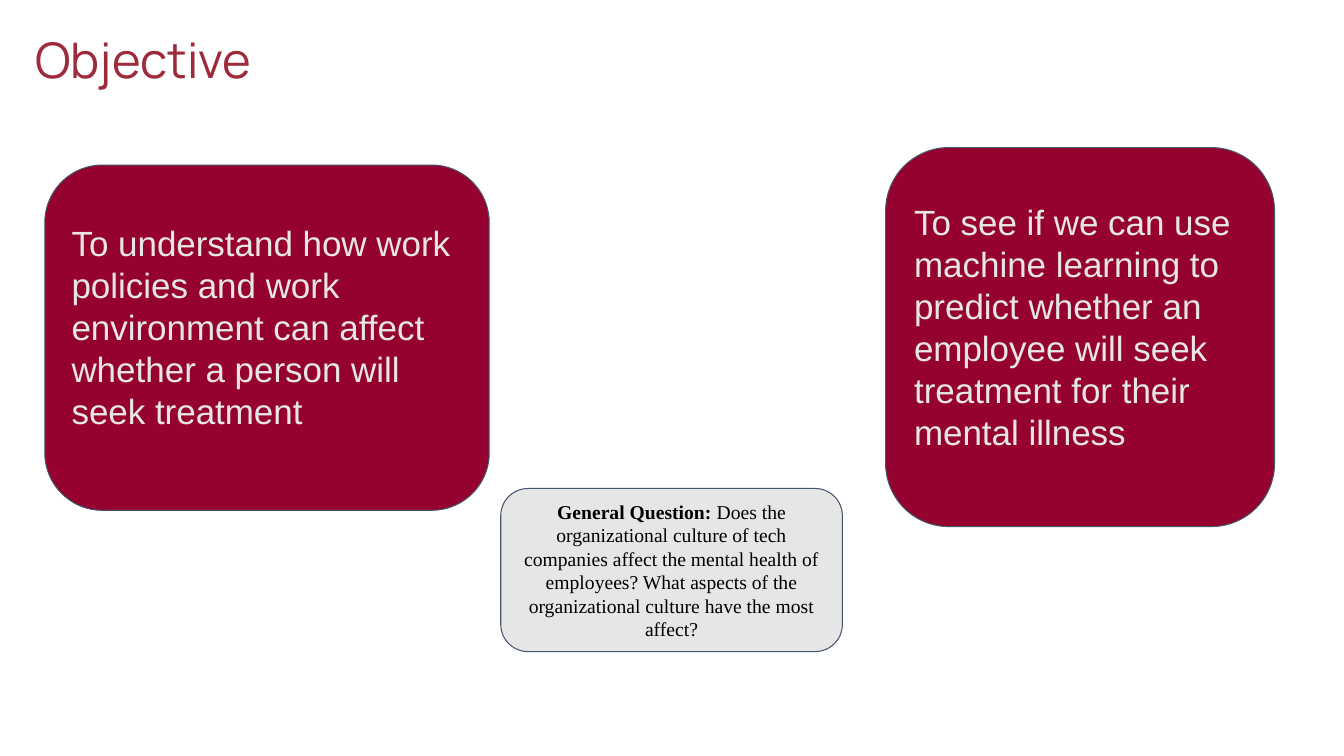
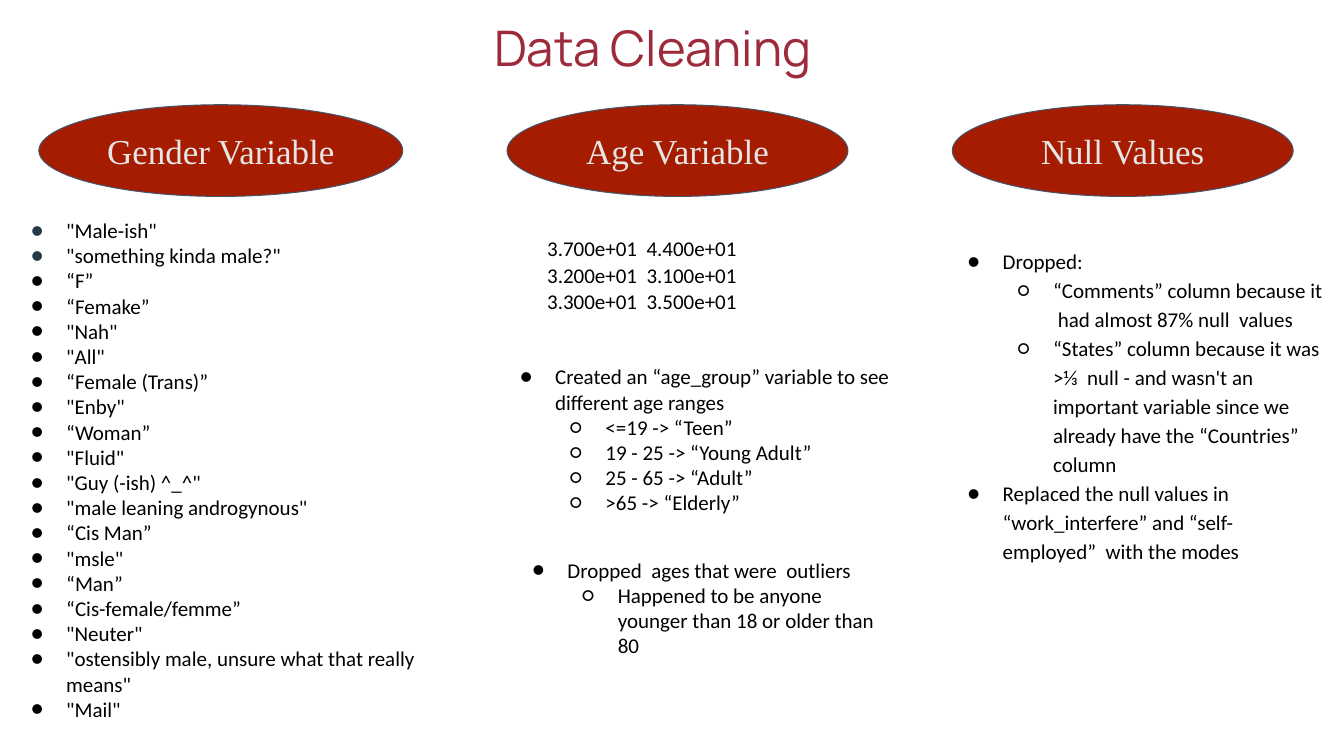
from dataclasses import dataclass

from lxml.etree import SubElement
from pptx import Presentation
from pptx.dml.color import RGBColor
from pptx.enum.shapes import MSO_SHAPE
from pptx.enum.text import MSO_ANCHOR, PP_ALIGN
from pptx.oxml.ns import qn
from pptx.slide import Slide
from pptx.text.text import TextFrame
from pptx.util import Cm, Pt


@dataclass(frozen=True)
class Theme:
    title: str = "9E2B3B"
    card: str = "96022F"
    heading: str = "A61C00"
    pale: str = "E7E6E6"
    outline: str = "44546A"
    ink: str = "000000"
    slate: str = "233A44"
    display_font: str = "Manrope"
    card_font: str = "Arial"
    serif_font: str = "Times New Roman"
    body_font: str = "Calibri"
    title_size: int = 35
    large_size: int = 25
    body_size: int = 15
    note_size: int = 14


@dataclass(frozen=True)
class Area:
    """A place on the slide, in centimetres."""
    left: float
    top: float
    width: float
    height: float

    def lengths(self) -> tuple:
        return Cm(self.left), Cm(self.top), Cm(self.width), Cm(self.height)


@dataclass(frozen=True)
class Panel:
    text: str
    area: Area


@dataclass(frozen=True)
class Item:
    text: str
    level: int = 0
    bullet_color: str = "000000"


@dataclass(frozen=True)
class BulletList:
    area: Area
    items: tuple
    indent: float = 1.27
    line_spacing: float = 1.0


THEME = Theme()
INSET = 0.25
HANGING = 0.89
LEVEL_STEP = 1.27
BULLETS = "●○"

# Objective slide
CARDS = (
    Panel("To understand how work policies and work environment can affect "
          "whether a person will seek treatment", Area(1.13, 4.16, 11.2, 8.7)),
    Panel("To see if we can use machine learning to predict whether an employee "
          "will seek treatment for their mental illness", Area(22.32, 3.72, 9.8, 9.55)),
)
QUESTION_AREA = Area(12.62, 12.31, 8.61, 4.11)
QUESTION_LABEL = "General Question: "
QUESTION = ("Does the organizational culture of tech companies affect the mental health "
            "of employees? What aspects of the organizational culture have the most affect?")

# Data cleaning slide
HEADINGS = (
    Panel("Gender Variable", Area(0.98, 2.64, 9.17, 2.31)),
    Panel("Age Variable", Area(12.78, 2.64, 8.59, 2.31)),
    Panel("Null Values", Area(24, 2.64, 8.59, 2.31)),
)
AGES = Panel("3.700e+01  4.400e+01  3.200e+01  3.100e+01  3.300e+01  3.500e+01",
             Area(13.54, 5.66, 7.5, 2.51))
GENDERS = (
    '"Male-ish"', '"something kinda male?"', "“F”", "“Femake”", '"Nah"', '"All"',
    "“Female (Trans)”", '"Enby"', "“Woman”", '"Fluid"', '"Guy (-ish) ^_^"',
    '"male leaning androgynous"', "“Cis Man”", '"msle"', "“Man”",
    "“Cis-female/femme”", '"Neuter"',
    '"ostensibly male, unsure what that really means"', '"Mail"',
)
SLATE_BULLETS = 2
LISTS = (
    BulletList(
        Area(0, 5.23, 12, 13.08),
        tuple(Item(text, bullet_color=THEME.slate if index < SLATE_BULLETS else THEME.ink)
              for index, text in enumerate(GENDERS)),
        indent=1.42,
    ),
    BulletList(Area(12.47, 8.92, 11.28, 4.88), (
        Item("Created an “age_group” variable to see different age ranges"),
        Item("<=19 -> “Teen”", 1),
        Item("19 - 25 -> “Young Adult”", 1),
        Item("25 - 65 -> “Adult”", 1),
        Item(">65 -> “Elderly”", 1),
    )),
    BulletList(Area(12.78, 13.79, 9.8, 3.05), (
        Item("Dropped  ages that were  outliers"),
        Item("Happened to be anyone younger than 18 or older than 80", 1),
    )),
    BulletList(Area(23.75, 5.92, 9.85, 10.39), (
        Item("Dropped:"),
        Item("“Comments” column because it  had almost 87% null  values", 1),
        Item("“States” column because it was >⅓  null - and wasn't an important variable "
             "since we already have the “Countries” column", 1),
        Item("Replaced the null values in “work_interfere” and “self-employed”  with the modes"),
    ), line_spacing=1.15),
)


def write(para, text: str, *, font: str = THEME.body_font, size: int = THEME.body_size,
          color: str = THEME.ink, bold: bool = False, align=PP_ALIGN.LEFT,
          line_spacing: float = 1.0) -> None:
    """Add a formatted span to a paragraph."""
    para.alignment = align
    para.line_spacing = line_spacing
    span = para.add_run()
    span.text = text
    span.font.name = font
    span.font.size = Pt(size)
    span.font.bold = bold
    span.font.color.rgb = RGBColor.from_string(color)


def set_frame(frame: TextFrame, anchor=MSO_ANCHOR.TOP, vertical: float = INSET) -> None:
    frame.word_wrap = True
    frame.vertical_anchor = anchor
    frame.margin_left = frame.margin_right = Cm(INSET)
    frame.margin_top = frame.margin_bottom = Cm(vertical)


def add_page(deck, title: str, area: Area) -> Slide:
    page = deck.slides.add_slide(deck.slide_layouts[5])
    box = page.shapes.title
    box.left, box.top, box.width, box.height = area.lengths()
    set_frame(box.text_frame, vertical=0.13)
    write(box.text_frame.paragraphs[0], title, font=THEME.display_font,
          size=THEME.title_size, color=THEME.title)
    return page


def add_panel(page: Slide, kind, area: Area, fill: str) -> TextFrame:
    shape = page.shapes.add_shape(kind, *area.lengths())
    shape.shadow.inherit = False
    shape.fill.solid()
    shape.fill.fore_color.rgb = RGBColor.from_string(fill)
    shape.line.color.rgb = RGBColor.from_string(THEME.outline)
    shape.line.width = Pt(0.75)
    set_frame(shape.text_frame, MSO_ANCHOR.MIDDLE)
    return shape.text_frame


def add_text_box(page: Slide, area: Area) -> TextFrame:
    frame = page.shapes.add_textbox(*area.lengths()).text_frame
    set_frame(frame)
    return frame


def set_bullet(para, item: Item, indent: float) -> None:
    para.level = item.level
    properties = para._p.get_or_add_pPr()
    properties.set("marL", str(Cm(indent + item.level * LEVEL_STEP)))
    properties.set("indent", str(-Cm(HANGING)))
    color = SubElement(properties, qn("a:buClr"))
    SubElement(color, qn("a:srgbClr"), val=item.bullet_color)
    SubElement(properties, qn("a:buFont"), typeface=THEME.body_font)
    SubElement(properties, qn("a:buChar"), char=BULLETS[item.level])


def add_bullets(page: Slide, bullets: BulletList) -> None:
    frame = add_text_box(page, bullets.area)
    for index, item in enumerate(bullets.items):
        para = frame.add_paragraph() if index else frame.paragraphs[0]
        write(para, item.text, line_spacing=bullets.line_spacing)
        set_bullet(para, item, bullets.indent)


def build_objective(deck) -> None:
    page = add_page(deck, "Objective", Area(0.64, 0.61, 9.8, 1.8))
    for card in CARDS:
        frame = add_panel(page, MSO_SHAPE.ROUNDED_RECTANGLE, card.area, THEME.card)
        frame.margin_bottom = Cm(0.8)
        write(frame.paragraphs[0], card.text, font=THEME.card_font,
              size=THEME.large_size, color=THEME.pale)

    frame = add_panel(page, MSO_SHAPE.FLOWCHART_ALTERNATE_PROCESS, QUESTION_AREA, THEME.pale)
    for text, bold in ((QUESTION_LABEL, True), (QUESTION, False)):
        write(frame.paragraphs[0], text, font=THEME.serif_font, size=THEME.note_size,
              bold=bold, align=PP_ALIGN.CENTER)


def build_data_cleaning(deck) -> None:
    page = add_page(deck, "Data Cleaning", Area(12.2, 0.3, 9.8, 1.8))
    for heading in HEADINGS:
        frame = add_panel(page, MSO_SHAPE.OVAL, heading.area, THEME.heading)
        write(frame.paragraphs[0], heading.text, font=THEME.serif_font,
              size=THEME.large_size, color=THEME.pale, align=PP_ALIGN.CENTER)
    write(add_text_box(page, AGES.area).paragraphs[0], AGES.text, line_spacing=1.05)
    for bullets in LISTS:
        add_bullets(page, bullets)


def main() -> None:
    deck = Presentation()
    deck.slide_width, deck.slide_height = Cm(33.87), Cm(19.05)
    build_objective(deck)
    build_data_cleaning(deck)
    deck.save("out.pptx")


if __name__ == "__main__":
    main()
